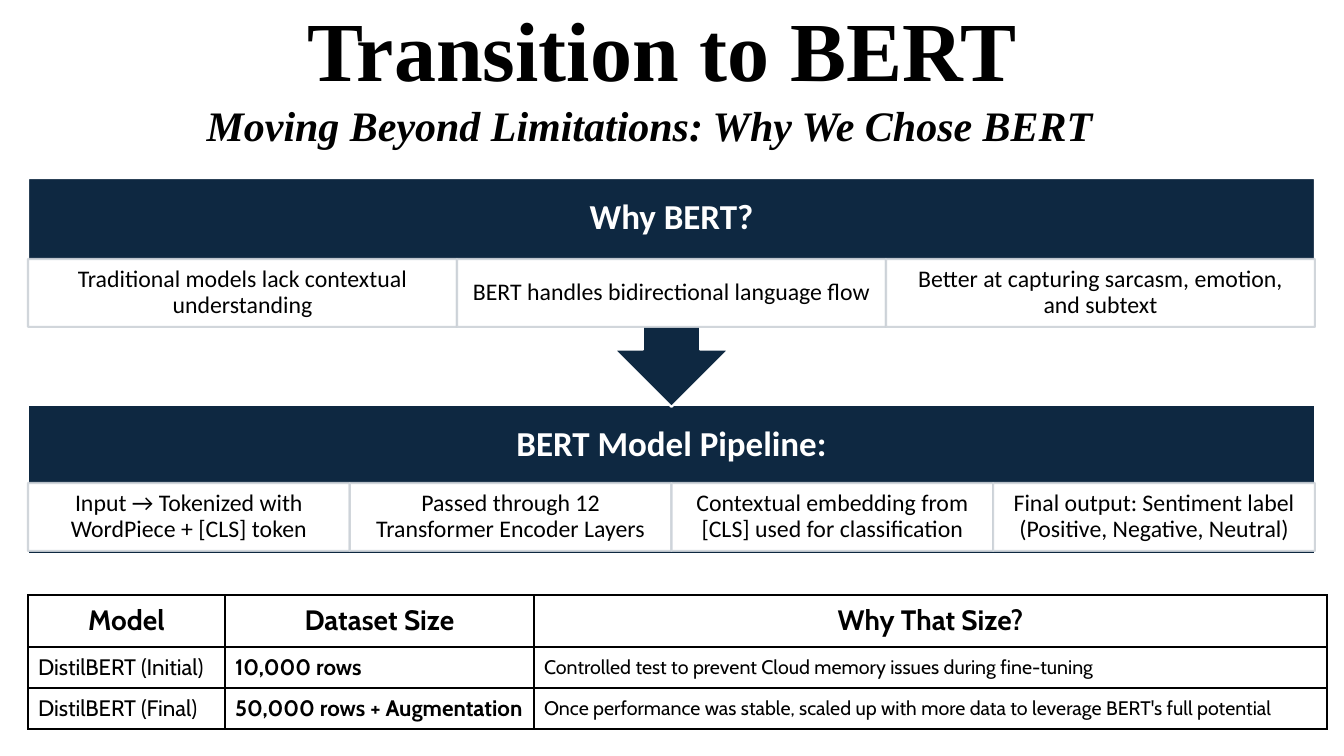
"""Build the "Transition to BERT" slide: two process bands and a dataset table."""
from lxml import etree
from pptx import Presentation
from pptx.dml.color import RGBColor
from pptx.enum.shapes import MSO_SHAPE
from pptx.enum.text import MSO_ANCHOR, MSO_AUTO_SIZE, PP_ALIGN
from pptx.oxml.ns import qn
from pptx.util import Emu, Pt

RECT, CALLOUT = MSO_SHAPE.RECTANGLE, MSO_SHAPE.DOWN_ARROW_CALLOUT
TOP, MIDDLE, BOTTOM = MSO_ANCHOR.TOP, MSO_ANCHOR.MIDDLE, MSO_ANCHOR.BOTTOM
LEFT, CENTER = PP_ALIGN.LEFT, PP_ALIGN.CENTER
NO_FIT = MSO_AUTO_SIZE.NONE
COLORS = {"navy": "0E2841", "white": "FFFFFF", "black": "000000", "border": "CCD2D8"}
RGB = {name: RGBColor.from_string(value) for name, value in COLORS.items()}
EMU_PER_PX = 914400 / 100.8
BAND_X, BAND_W, CELL_H = 28, 1287, 68


def px(n):
    return Emu(round(n * EMU_PER_PX))


def style(p, text, font, size, color="black", bold=False, italic=False, align=CENTER):
    p.text = text
    p.alignment = align
    p.font.name, p.font.size = font, Pt(size)
    p.font.bold, p.font.italic = bold, italic
    p.font.color.rgb = RGB[color]


prs = Presentation()
prs.slide_width, prs.slide_height = px(1344), px(756)
s = prs.slides.add_slide(prs.slide_layouts[0])

headings = [
    (s.shapes.title, "Transition to BERT", (0, 0, 1324, 105), BOTTOM, 60, False, 0.9),
    (s.placeholders[1], "Moving Beyond Limitations: Why We Chose BERT",
     (171, 94, 958, 61), TOP, 30, True, 1.0),
]
for sp, text, box, anchor, size, italic, spacing in headings:
    sp.left, sp.top, sp.width, sp.height = map(px, box)
    tf = sp.text_frame
    tf.auto_size, tf.vertical_anchor, tf.word_wrap = NO_FIT, anchor, True
    p = tf.paragraphs[0]
    style(p, text, "Times New Roman", size, bold=True, italic=italic)
    p.line_spacing, p.space_before = spacing, Pt(0)

bands = [
    (RECT, "BERT Model Pipeline:", 405, 149, 483, [
        "Input → Tokenized with WordPiece + [CLS] token",
        "Passed through 12 Transformer Encoder Layers",
        "Contextual embedding from [CLS] used for classification",
        "Final output: Sentiment label (Positive, Negative, Neutral)",
    ]),
    (CALLOUT, "Why BERT?", 178, 229, 259, [
        "Traditional models lack contextual understanding",
        "BERT handles bidirectional language flow",
        "Better at capturing sarcasm, emotion, and subtext",
    ]),
]
for kind, heading, top, height, cell_top, steps in bands:
    cell_w = BAND_W / len(steps)
    parts = [(kind, heading, BAND_X, top, BAND_W, height,
              "navy", "white", "white", 25, True, (19, 0, 19, CELL_H))]
    parts += [(RECT, step, BAND_X + i * cell_w, cell_top, cell_w, CELL_H,
               "white", "border", "black", 17, False, (13, 2, 13, 2))
              for i, step in enumerate(steps)]
    for shape, text, x, y, w, h, fill, line, color, size, bold, insets in parts:
        sp = s.shapes.add_shape(shape, px(x), px(y), px(w), px(h))
        sp.shadow.inherit = False
        sp.fill.solid()
        sp.fill.fore_color.rgb = RGB[fill]
        sp.line.color.rgb = RGB[line]
        sp.line.width = Pt(1.5)
        if line == "border":
            stroke = sp.line._get_or_add_ln().find(".//" + qn("a:srgbClr"))
            etree.SubElement(stroke, qn("a:alpha"), val="90000")
        tf = sp.text_frame
        tf.word_wrap, tf.vertical_anchor = True, MIDDLE
        tf.margin_left, tf.margin_top, tf.margin_right, tf.margin_bottom = map(px, insets)
        p = tf.paragraphs[0]
        style(p, text, "Calibri", size, color, bold)
        p.line_spacing = 0.9

rows = [
    ("Model", "Dataset Size", "Why That Size?"),
    ("DistilBERT (Initial)", "10,000 rows",
     "Controlled test to prevent Cloud memory issues during fine-tuning"),
    ("DistilBERT (Final)", "50,000 rows + Augmentation",
     "Once performance was stable, scaled up with more data to leverage BERT's full potential"),
]
col_widths, row_heights, body_sizes = [197, 309, 793], [52, 41, 41], [16, 16, 14]
table = s.shapes.add_table(len(rows), len(col_widths), px(28), px(595),
                           px(sum(col_widths)), px(sum(row_heights))).table
table.first_row = table.horz_banding = False
for column, width in zip(table.columns, col_widths):
    column.width = px(width)
for r, texts in enumerate(rows):
    table.rows[r].height = px(row_heights[r])
    for c, text in enumerate(texts):
        cell = table.cell(r, c)
        cell.vertical_anchor = MIDDLE
        header = r == 0
        style(cell.text_frame.paragraphs[0], text, "Cabin", 20 if header else body_sizes[c],
              bold=header or c == 1, align=CENTER if header else LEFT)
        tc_pr = cell._tc.get_or_add_tcPr()
        for side in ("a:lnL", "a:lnR", "a:lnT", "a:lnB"):
            ln = etree.SubElement(tc_pr, qn(side), w=str(Pt(1)))
            solid = etree.SubElement(ln, qn("a:solidFill"))
            etree.SubElement(solid, qn("a:srgbClr"), val=COLORS["black"])
        cell.fill.solid()
        cell.fill.fore_color.rgb = RGB["white"]

prs.save("out.pptx")
